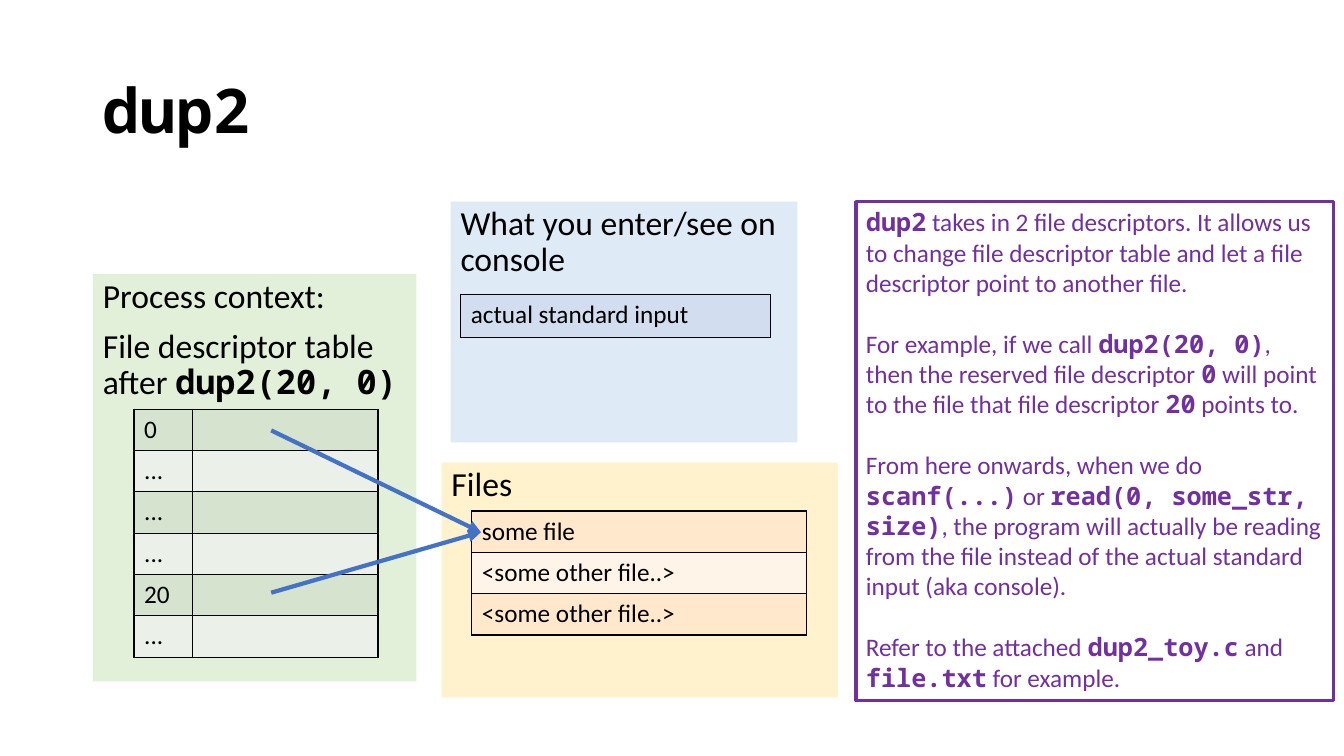
"""Build the slide that explains dup2 and file descriptor tables."""
from lxml.etree import SubElement
from pptx import Presentation
from pptx.dml.color import RGBColor
from pptx.enum.shapes import MSO_CONNECTOR, MSO_SHAPE
from pptx.enum.text import MSO_ANCHOR, MSO_AUTO_SIZE, PP_ALIGN
from pptx.oxml.ns import qn
from pptx.util import Inches, Pt

BLACK = RGBColor(0x00, 0x00, 0x00)
PURPLE = RGBColor(0x70, 0x30, 0xA0)
ARROW_BLUE = RGBColor(0x44, 0x72, 0xC4)
PALE_GREEN = RGBColor(0xE2, 0xF0, 0xD9)
PALE_BLUE = RGBColor(0xDE, 0xEB, 0xF7)
PALE_YELLOW = RGBColor(0xFF, 0xF2, 0xCC)
GREEN_BANDS = (RGBColor(0xD5, 0xE3, 0xCF), RGBColor(0xEB, 0xF1, 0xE9))
BLUE_BANDS = (RGBColor(0xD2, 0xDE, 0xEF),)
ORANGE_BANDS = (RGBColor(0xFF, 0xE8, 0xCC), RGBColor(0xFF, 0xF4, 0xE7))

TEXT_FONT = "Calibri"
CODE_FONT = "Noto Sans Mono"

EXPLANATION = (
    "`dup2` takes in 2 file descriptors. It allows us to change file descriptor "
    "table and let a file descriptor point to another file.",
    "For example, if we call `dup2(20, 0)`, then the reserved file descriptor "
    "`0` will point to the file that file descriptor `20` points to.",
    "From here onwards, when we do `scanf(...)` or `read(0, some_str, size)`, "
    "the program will actually be reading from the file instead of the actual "
    "standard input (aka console).",
    "Refer to the attached `dup2_toy.c` and `file.txt` for example.",
)


def place(shape, left, top, width, height):
    """Move and size a shape, in inches."""
    shape.left, shape.top = Inches(left), Inches(top)
    shape.width, shape.height = Inches(width), Inches(height)


def add_spans(para, text, size, color):
    """Add runs to a paragraph, with the parts between backticks as bold code."""
    for index, part in enumerate(text.split("`")):
        if part:
            is_code = index % 2 == 1
            span = para.add_run()
            span.text = part
            span.font.name = CODE_FONT if is_code else TEXT_FONT
            span.font.size = Pt(size)
            span.font.bold = is_code
            span.font.color.rgb = color


def write(shape, texts, size, color=BLACK, spacing=0.9, before=10, after=0,
          anchor=MSO_ANCHOR.TOP):
    """Fill a shape with left-aligned paragraphs without bullets."""
    frame = shape.text_frame
    frame.word_wrap = True
    frame.auto_size = MSO_AUTO_SIZE.NONE
    frame.vertical_anchor = anchor
    for index, text in enumerate(texts):
        para = frame.add_paragraph() if index else frame.paragraphs[0]
        para.alignment = PP_ALIGN.LEFT
        para.line_spacing = spacing
        para.space_before = Pt(before)
        para.space_after = Pt(after)
        properties = para._p.get_or_add_pPr()
        properties.set("marL", "0")
        properties.set("indent", "0")
        SubElement(properties, qn("a:buNone"))
        add_spans(para, text, size, color)


def add_box(page, bounds, fill=None, outline=None):
    """Add a plain rectangle with an optional fill and outline."""
    box = page.shapes.add_shape(MSO_SHAPE.RECTANGLE, *map(Inches, bounds))
    box.shadow.inherit = False
    if fill is None:
        box.fill.background()
    else:
        box.fill.solid()
        box.fill.fore_color.rgb = fill
    if outline is None:
        box.line.fill.background()
    else:
        box.line.color.rgb = outline
        box.line.width = Pt(2.25)
    return box


def add_borders(cell):
    """Draw a thin black line on all sides of a cell."""
    properties = cell._tc.get_or_add_tcPr()
    for side in ("a:lnL", "a:lnR", "a:lnT", "a:lnB"):
        line = SubElement(properties, qn(side), w=str(Pt(1)))
        fill = SubElement(line, qn("a:solidFill"))
        SubElement(fill, qn("a:srgbClr"), val=str(BLACK))


def add_grid(page, left, top, widths, row_height, labels, bands):
    """Add a banded table with labels in its first column."""
    frame = page.shapes.add_table(
        len(labels), len(widths), Inches(left), Inches(top),
        Inches(sum(widths)), Inches(row_height * len(labels)))
    table = frame.table
    table.first_row = False
    table.horz_banding = False
    for column, width in zip(table.columns, widths):
        column.width = Inches(width)
    for index, (row, label) in enumerate(zip(table.rows, labels)):
        row.height = Inches(row_height)
        for cell in row.cells:
            add_borders(cell)
            cell.fill.solid()
            cell.fill.fore_color.rgb = bands[index % len(bands)]
        add_spans(row.cells[0].text_frame.paragraphs[0], label, 18, BLACK)


def add_arrow(page, start, end):
    """Add a straight blue arrow between two points."""
    arrow = page.shapes.add_connector(
        MSO_CONNECTOR.STRAIGHT, *map(Inches, start + end))
    arrow.line.color.rgb = ARROW_BLUE
    arrow.line.width = Pt(3)
    SubElement(arrow.line._get_or_add_ln(), qn("a:tailEnd"), type="triangle")
    SubElement(arrow._element.spPr, qn("a:effectLst"))


def main():
    """Build the slide and save it."""
    deck = Presentation()
    deck.slide_width, deck.slide_height = Inches(13.33), Inches(7.5)
    page = deck.slides.add_slide(deck.slide_layouts[1])

    title = page.shapes.title
    place(title, 0.92, 0.4, 11.5, 1.45)
    write(title, ["`dup2`"], 44, before=0, anchor=MSO_ANCHOR.MIDDLE)

    process = page.placeholders[1]
    place(process, 0.92, 2.72, 3.21, 4.04)
    process.fill.solid()
    process.fill.fore_color.rgb = PALE_GREEN
    write(process, ["Process context:",
                    "File descriptor table after `dup2(20, 0)`"], 24)

    console = add_box(page, (4.47, 2, 3.44, 2.39), PALE_BLUE)
    write(console, ["What you enter/see on console"], 24)
    files = add_box(page, (4.38, 4.59, 3.93, 2.33), PALE_YELLOW)
    write(files, ["Files"], 24)

    descriptors = ("0", "...", "...", "...", "20", "...")
    add_grid(page, 1.33, 4.06, (0.58, 1.84), 0.41, descriptors, GREEN_BANDS)
    add_grid(page, 4.57, 2.92, (3.07,), 0.43, ("actual standard input",),
             BLUE_BANDS)
    file_names = ("some file", "<some other file..>", "<some other file..>")
    add_grid(page, 4.68, 5.07, (3.32,), 0.41, file_names, ORANGE_BANDS)

    some_file = (4.77, 5.28)
    add_arrow(page, (2.69, 5.88), some_file)
    note = add_box(page, (8.49, 2, 4.74, 4.95), outline=PURPLE)
    write(note, EXPLANATION, 18, PURPLE, spacing=1.0, before=0, after=22)
    add_arrow(page, (2.69, 4.27), some_file)

    deck.save("out.pptx")


if __name__ == "__main__":
    main()
